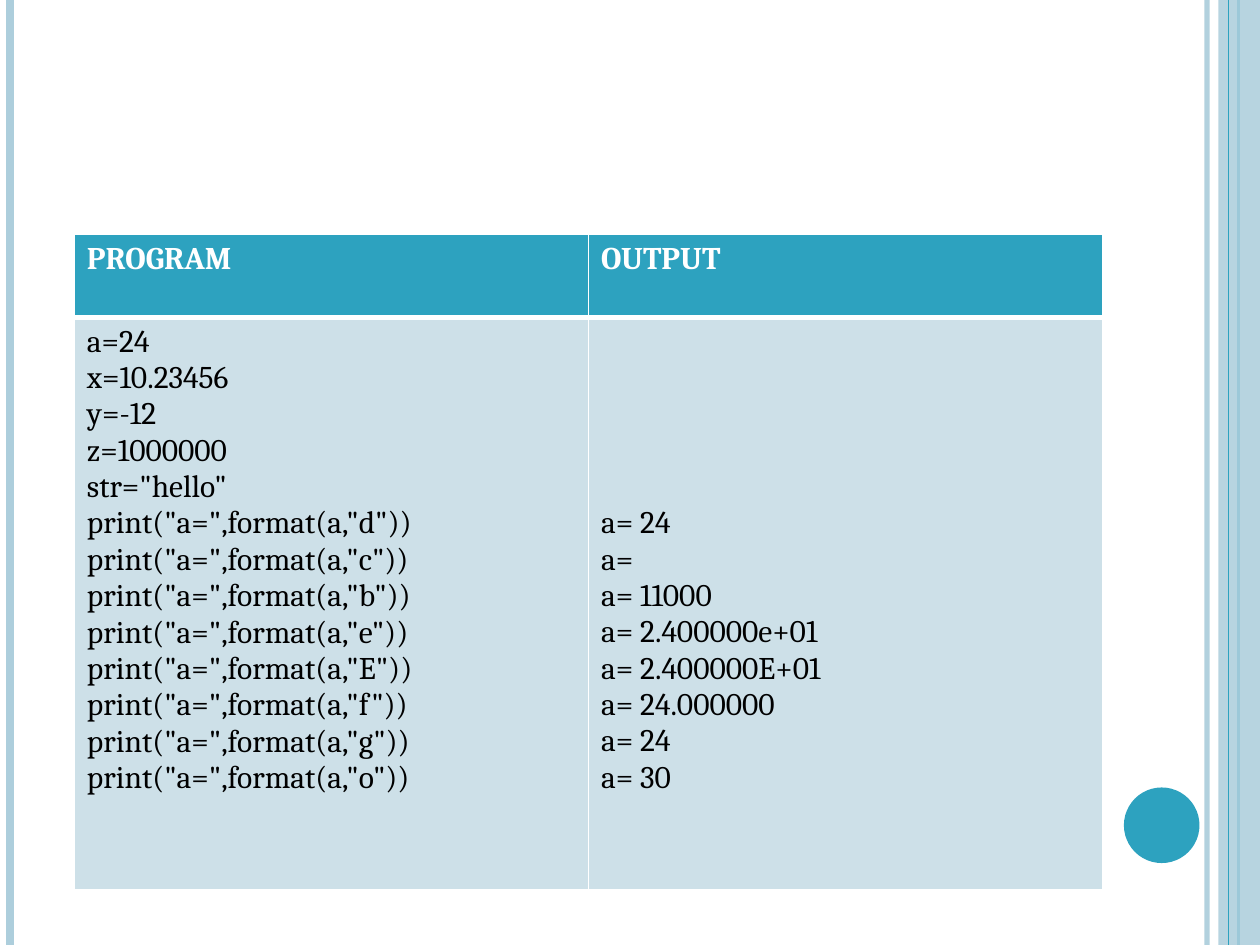
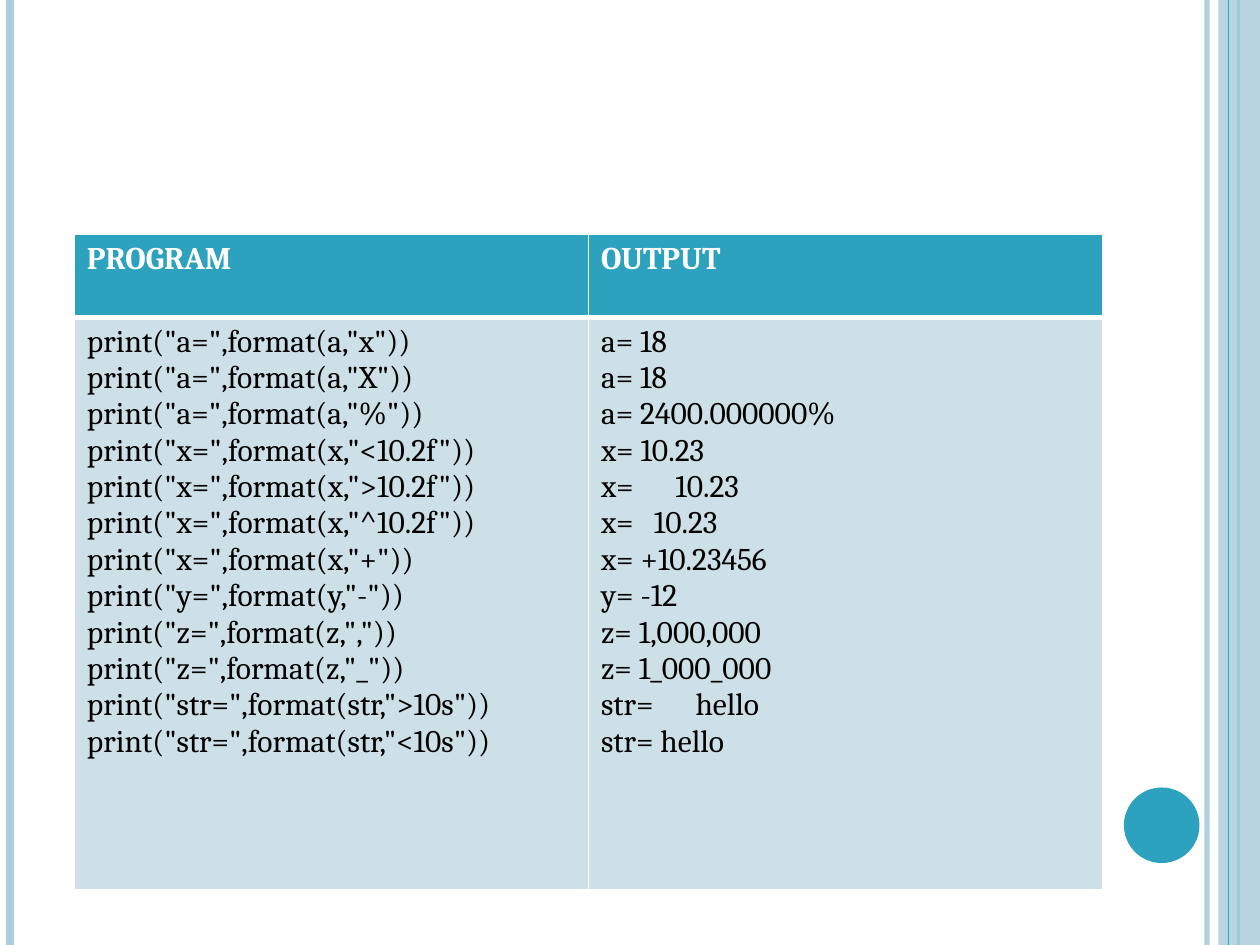
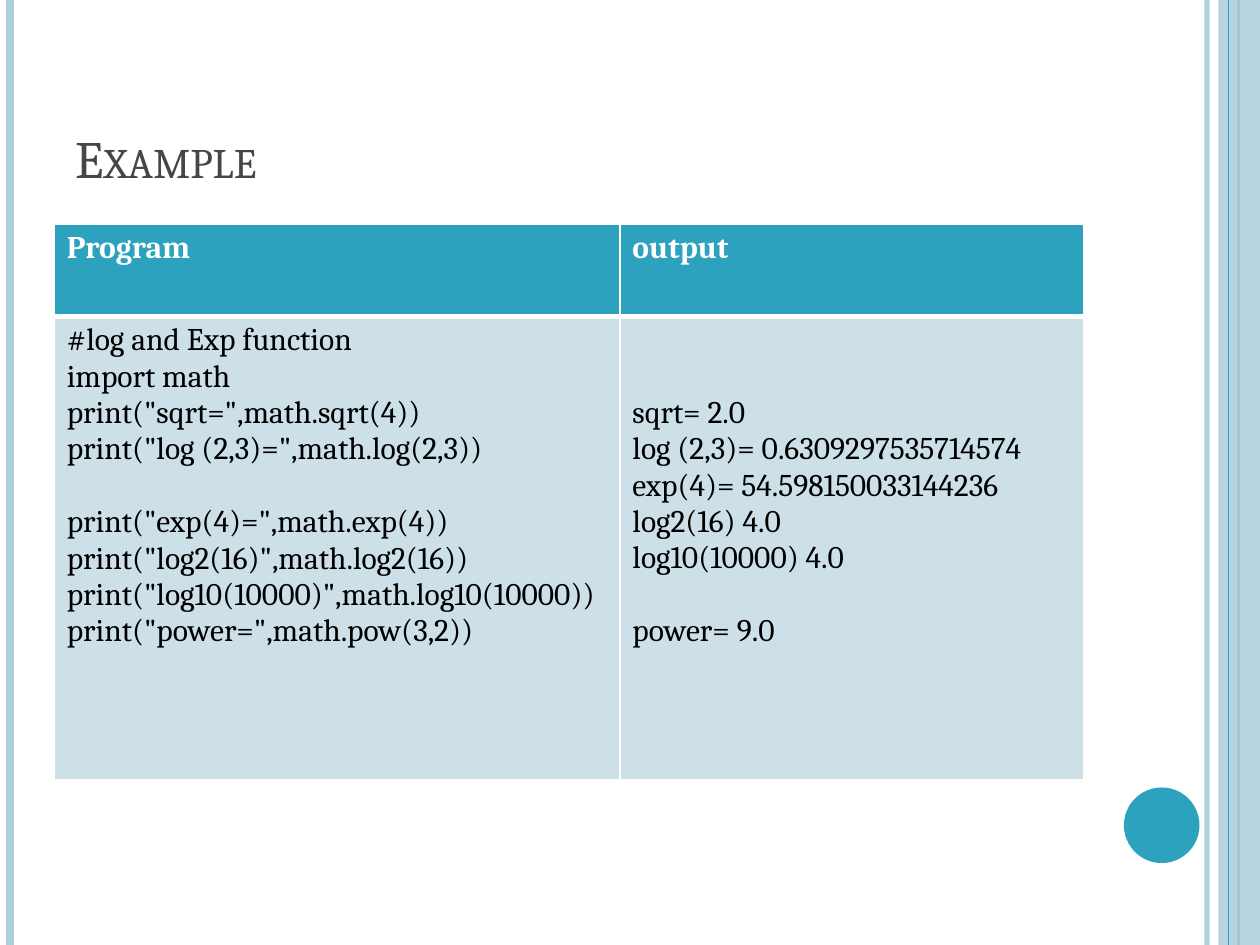
"""Build three slides that pair Python programs with their output."""
from dataclasses import dataclass
from typing import NamedTuple

from lxml import etree
from pptx import Presentation
from pptx.dml.color import RGBColor
from pptx.enum.shapes import MSO_CONNECTOR, MSO_SHAPE
from pptx.enum.text import MSO_ANCHOR, MSO_AUTO_SIZE, PP_ALIGN
from pptx.oxml.ns import qn
from pptx.util import Emu, Pt

STRAIGHT = MSO_CONNECTOR.STRAIGHT
RECTANGLE, OVAL = MSO_SHAPE.RECTANGLE, MSO_SHAPE.OVAL
BOTTOM, LEFT, NO_AUTOFIT = MSO_ANCHOR.BOTTOM, PP_ALIGN.LEFT, MSO_AUTO_SIZE.NONE
TITLE_ONLY, BLANK = 5, 6
EMU_PER_PX = 9144
SLIDE_W, SLIDE_H = 1000, 750


@dataclass(frozen=True)
class Theme:
    """Colours, font and type sizes of the deck."""
    accent: str = "2DA2BF"
    band: str = "ADCEDC"
    cell: str = "CDE0E8"
    title: str = "464646"
    white: str = "FFFFFF"
    black: str = "000000"
    font: str = "Cambria"
    title_pt: int = 30
    body_pt: int = 18
    line_pt: float = 20.75
    border_pt: int = 1
    header_rule_pt: int = 3


class Stripe(NamedTuple):
    """A vertical line over the full slide height."""
    x: int
    color: str
    width_pt: float
    opacity: int = 100


class Block(NamedTuple):
    """A filled decorative shape."""
    kind: MSO_SHAPE
    x: int
    y: int
    w: int
    h: int
    color: str
    opacity: int = 100


class Tabbed(NamedTuple):
    """An output line whose value starts at a tab stop."""
    label: str
    value: str
    stop: int


class Example(NamedTuple):
    """A slide with a program beside its output."""
    title: str
    headers: tuple[str, str]
    x: int
    y: int
    columns: tuple[int, int]
    rows: tuple[int, int]
    program: list[str]
    output: list[str | Tabbed]


THEME = Theme()
STRIPES_BELOW = (
    Stripe(958, THEME.band, 3, 93),
    Stripe(8, THEME.band, 4.5),
    Stripe(983, THEME.accent, 1.5),
)
SIDE_BAND = Block(RECTANGLE, 967, 0, 33, SLIDE_H, THEME.band, 87)
STRIPE_ABOVE = Stripe(975, THEME.accent, 0.75)
DISC = Block(OVAL, 892, 625, 60, 60, THEME.accent)


def px(n: float) -> Emu:
    """Turn px into EMU."""
    return Emu(round(n * EMU_PER_PX))


def rgb(color: str) -> RGBColor:
    """Read a hex colour."""
    return RGBColor.from_string(color)


def set_opacity(parent: etree._Element, percent: int) -> None:
    """Make the first colour under an element partly transparent."""
    if percent < 100:
        color = next(parent.iter(qn("a:srgbClr")))
        etree.SubElement(color, qn("a:alpha"), val=str(percent * 1000))


def add_text(p, text: str, *, size: float = THEME.body_pt, color: str = THEME.black,
             bold: bool = False, small_caps: bool = False, before: float = 0,
             tab: int = 0) -> None:
    """Write one formatted run into a paragraph."""
    p.alignment = LEFT
    if before:
        p.space_before = Pt(before)
    if tab:
        tabs = etree.SubElement(p._p.get_or_add_pPr(), qn("a:tabLst"))
        etree.SubElement(tabs, qn("a:tab"), pos=str(px(tab)), algn="l")
    r = p.add_run()
    r.text = text
    r.font.name, r.font.size, r.font.bold = THEME.font, Pt(size), bold
    r.font.color.rgb = rgb(color)
    if small_caps:
        r.font._element.set("cap", "small")


def add_stripe(slide, stripe: Stripe) -> None:
    """Draw a vertical line."""
    line = slide.shapes.add_connector(STRAIGHT, px(stripe.x), 0, px(stripe.x), px(SLIDE_H))
    line.line.color.rgb = rgb(stripe.color)
    line.line.width = Pt(stripe.width_pt)
    sp_pr = line._element.spPr
    set_opacity(sp_pr, stripe.opacity)
    etree.SubElement(sp_pr, qn("a:effectLst"))


def add_block(slide, block: Block) -> None:
    """Draw a filled shape without outline."""
    sp = slide.shapes.add_shape(block.kind, px(block.x), px(block.y), px(block.w), px(block.h))
    sp.shadow.inherit = False
    sp.fill.solid()
    sp.fill.fore_color.rgb = rgb(block.color)
    sp.line.fill.background()
    set_opacity(sp._element.spPr, block.opacity)


def add_frame(slide) -> None:
    """Draw the bands and the disc that every slide shares."""
    for stripe in STRIPES_BELOW:
        add_stripe(slide, stripe)
    add_block(slide, SIDE_BAND)
    add_stripe(slide, STRIPE_ABOVE)
    add_block(slide, DISC)


def add_title(slide, text: str) -> None:
    """Place and fill the title placeholder."""
    sp = slide.shapes.title
    sp.left, sp.top, sp.width, sp.height = px(50), px(30), px(817), px(125)
    tf = sp.text_frame
    tf.auto_size, tf.vertical_anchor, tf.word_wrap = NO_AUTOFIT, BOTTOM, True
    add_text(tf.paragraphs[0], text, size=THEME.title_pt, color=THEME.title, small_caps=True)


def style_cell(cell, fill: str, top_pt: int, bottom_pt: int) -> None:
    """Give a cell white borders and a fill."""
    tc_pr = cell._tc.get_or_add_tcPr()
    widths = {"L": THEME.border_pt, "R": THEME.border_pt, "T": top_pt, "B": bottom_pt}
    for side, width in widths.items():
        ln = etree.SubElement(tc_pr, qn(f"a:ln{side}"), w=str(Pt(width)))
        solid = etree.SubElement(ln, qn("a:solidFill"))
        etree.SubElement(solid, qn("a:srgbClr"), val=THEME.white)
    cell.fill.solid()
    cell.fill.fore_color.rgb = rgb(fill)


def fill_lines(cell, lines: list[str | Tabbed]) -> None:
    """Write lines, turning each empty one into a gap above the next."""
    tf = cell.text_frame
    gap, started = 0.0, False
    for line in lines:
        if not line:
            gap += THEME.line_pt
            continue
        if not started:
            cell.margin_top = Emu(cell.margin_top + Pt(gap))
        p = tf.add_paragraph() if started else tf.paragraphs[0]
        before = gap if started else 0
        if isinstance(line, Tabbed):
            add_text(p, f"{line.label}\t{line.value}", before=before, tab=line.stop)
        else:
            add_text(p, line, before=before)
        gap, started = 0.0, True


def add_example_table(slide, ex: Example) -> None:
    """Draw the table of program and output."""
    table = slide.shapes.add_table(2, 2, px(ex.x), px(ex.y), px(sum(ex.columns)),
                                   px(sum(ex.rows))).table
    for row, height in zip(table.rows, ex.rows):
        row.height = px(height)
    for i, lines in enumerate((ex.program, ex.output)):
        table.columns[i].width = px(ex.columns[i])
        header, body = table.cell(0, i), table.cell(1, i)
        style_cell(header, THEME.accent, THEME.border_pt, THEME.header_rule_pt)
        style_cell(body, THEME.cell, THEME.header_rule_pt, THEME.border_pt)
        add_text(header.text_frame.paragraphs[0], ex.headers[i], color=THEME.white, bold=True)
        fill_lines(body, lines)


def format_call(name: str, code: str) -> str:
    """Write the program line that prints a formatted variable."""
    return f'print("{name}=",format({name},"{code}"))'


def format_example(program: list[str], output: list[str | Tabbed]) -> Example:
    """Describe an untitled slide about format()."""
    return Example("", ("PROGRAM", "OUTPUT"), 59, 186, (408, 408), (66, 454), program, output)


EXAMPLES = (
    format_example(
        ["a=24", "x=10.23456", "y=-12", "z=1000000", 'str="hello"']
        + [format_call("a", code) for code in "dcbeEfgo"],
        [""] * 5 + ["a= 24", "a=", "a= 11000", "a= 2.400000e+01", "a= 2.400000E+01",
                    "a= 24.000000", "a= 24", "a= 30"],
    ),
    format_example(
        [format_call("a", code) for code in "xX%"]
        + [format_call("x", code) for code in ("<10.2f", ">10.2f", "^10.2f", "+")]
        + [format_call("y", "-"), format_call("z", ","), format_call("z", "_"),
           format_call("str", ">10s"), format_call("str", "<10s")],
        ["a= 18", "a= 18", "a= 2400.000000%", "x= 10.23", Tabbed("x=", "10.23", 59),
         Tabbed("x=", "10.23", 42), "x= +10.23456", "y= -12", "z= 1,000,000",
         "z= 1_000_000", Tabbed("str=", "hello", 75), "str= hello"],
    ),
    Example(
        "Example", ("Program", "output"), 43, 178, (449, 368), (73, 368),
        ["#log and Exp function", "import math", 'print("sqrt=",math.sqrt(4))',
         'print("log (2,3)=",math.log(2,3))', "", 'print("exp(4)=",math.exp(4))',
         'print("log2(16)",math.log2(16))', 'print("log10(10000)",math.log10(10000))',
         'print("power=",math.pow(3,2))'],
        ["", "", "sqrt= 2.0", "log (2,3)= 0.6309297535714574", "exp(4)= 54.598150033144236",
         "log2(16) 4.0", "log10(10000) 4.0", "", "power= 9.0"],
    ),
)


def main() -> None:
    """Build and save the deck."""
    prs = Presentation()
    prs.slide_width, prs.slide_height = px(SLIDE_W), px(SLIDE_H)
    for ex in EXAMPLES:
        slide = prs.slides.add_slide(prs.slide_layouts[TITLE_ONLY if ex.title else BLANK])
        add_frame(slide)
        if ex.title:
            add_title(slide, ex.title)
        add_example_table(slide, ex)
    prs.save("out.pptx")


if __name__ == "__main__":
    main()
